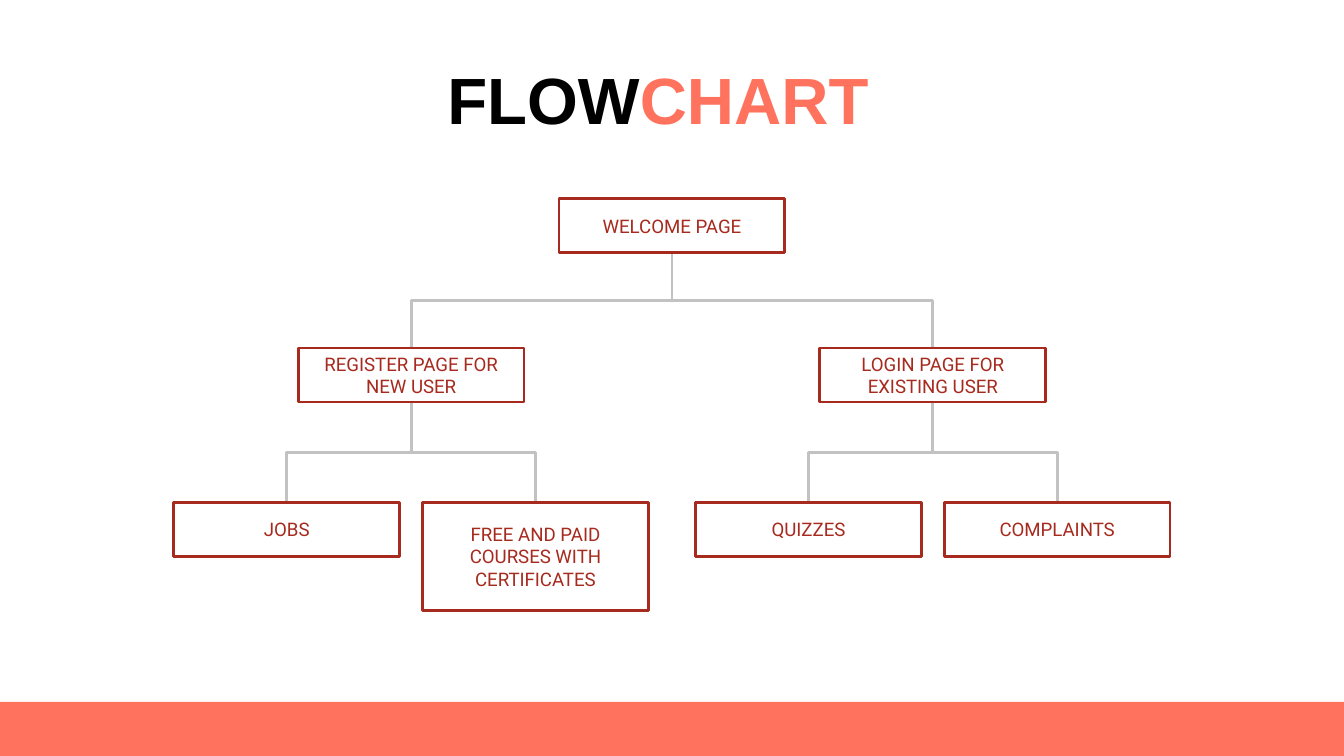
from dataclasses import dataclass

from lxml.etree import SubElement
from pptx import Presentation
from pptx.dml.color import RGBColor
from pptx.enum.shapes import MSO_CONNECTOR, MSO_SHAPE
from pptx.enum.text import MSO_ANCHOR, MSO_AUTO_SIZE, PP_ALIGN
from pptx.oxml.ns import qn
from pptx.shapes.autoshape import Shape
from pptx.slide import Slide
from pptx.text.text import TextFrame, _Paragraph
from pptx.util import Cm, Pt

CORAL = RGBColor(0xFF, 0x72, 0x5E)
BLACK = RGBColor(0x00, 0x00, 0x00)
BRICK = RGBColor(0xA7, 0x2A, 0x1E)
GREY = RGBColor(0xC2, 0xC2, 0xC2)

PAGE_WIDTH, PAGE_HEIGHT = 25.4, 14.29
BAND_HEIGHT = 1.02
BOX_WIDTH, BOX_HEIGHT = 4.27, 1.02
ROOT_TOP, BRANCH_TOP, LEAF_TOP = 3.76, 6.58, 9.5
CENTRE = PAGE_WIDTH / 2
BRANCH_OFFSET, LEAF_OFFSET = 4.93, 2.35
INSET = Cm(0.25)


@dataclass(frozen=True)
class Node:
    label: str
    centre: float
    top: float
    height: float = BOX_HEIGHT
    children: tuple["Node", ...] = ()


def leaf(label: str, centre: float, height: float = BOX_HEIGHT) -> Node:
    return Node(label, centre, LEAF_TOP, height)


REGISTER_CENTRE = CENTRE - BRANCH_OFFSET
LOGIN_CENTRE = CENTRE + BRANCH_OFFSET
WELCOME = Node("WELCOME PAGE", CENTRE, ROOT_TOP, children=(
    Node("REGISTER PAGE FOR NEW USER", REGISTER_CENTRE, BRANCH_TOP, children=(
        leaf("JOBS", REGISTER_CENTRE - LEAF_OFFSET),
        leaf("FREE AND PAID COURSES WITH CERTIFICATES",
             REGISTER_CENTRE + LEAF_OFFSET, 2 * BOX_HEIGHT),
    )),
    Node("LOGIN PAGE FOR EXISTING USER", LOGIN_CENTRE, BRANCH_TOP, children=(
        leaf("QUIZZES", LOGIN_CENTRE - LEAF_OFFSET),
        leaf("COMPLAINTS", LOGIN_CENTRE + LEAF_OFFSET),
    )),
))


def prepare_frame(frame: TextFrame) -> _Paragraph:
    frame.word_wrap = True
    frame.auto_size = MSO_AUTO_SIZE.NONE
    frame.vertical_anchor = MSO_ANCHOR.MIDDLE
    frame.margin_left = frame.margin_right = INSET
    frame.margin_top = frame.margin_bottom = INSET
    para = frame.paragraphs[0]
    para.alignment = PP_ALIGN.CENTER
    return para


def add_span(para: _Paragraph, text: str, font: str, size: float,
             color: RGBColor, bold: bool = False) -> None:
    span = para.add_run()
    span.text = text
    span.font.name = font
    span.font.size = Pt(size)
    span.font.bold = bold
    span.font.color.rgb = color


def add_band(page: Slide) -> None:
    band = page.shapes.add_shape(
        MSO_SHAPE.RECTANGLE, 0, Cm(PAGE_HEIGHT - BAND_HEIGHT),
        Cm(PAGE_WIDTH), Cm(BAND_HEIGHT))
    band.shadow.inherit = False
    band.fill.solid()
    band.fill.fore_color.rgb = CORAL
    band.line.fill.background()


def add_title(page: Slide) -> None:
    title = page.shapes.title
    title.left, title.top = Cm(1.4), Cm(1.24)
    title.width, title.height = Cm(22.07), Cm(1.24)
    para = prepare_frame(title.text_frame)
    para.line_spacing = 1.0
    add_span(para, "FLOW", "Arial", 35, BLACK, True)
    add_span(para, "CHART", "Arial", 35, CORAL, True)


def add_box(page: Slide, node: Node) -> Shape:
    box = page.shapes.add_shape(
        MSO_SHAPE.RECTANGLE, Cm(node.centre - BOX_WIDTH / 2), Cm(node.top),
        Cm(BOX_WIDTH), Cm(node.height))
    box.shadow.inherit = False
    box.fill.background()
    box.line.color.rgb = BRICK
    box.line.width = Pt(1.5)
    add_span(prepare_frame(box.text_frame), node.label, "Roboto", 10, BRICK)
    return box


def add_elbow(page: Slide, parent: Shape, child: Shape) -> None:
    start_x, start_y = parent.left + parent.width // 2, parent.top + parent.height
    end_x, end_y = child.left + child.width // 2, child.top
    elbow = page.shapes.add_connector(
        MSO_CONNECTOR.ELBOW, start_x, start_y, end_x, end_y)
    elbow.begin_connect(parent, 2)
    elbow.end_connect(child, 0)
    drop, spread = end_y - start_y, abs(end_x - start_x)
    elbow.width, elbow.height = drop, spread
    elbow.left = (start_x + end_x - drop) // 2
    elbow.top = (start_y + end_y - spread) // 2
    properties = elbow._element.spPr
    frame = properties.find(qn("a:xfrm"))
    goes_right = end_x > start_x
    frame.set("rot", "16200000" if goes_right else "5400000")
    frame.set("flipH", "1" if goes_right else "0")
    elbow.line.color.rgb = GREY
    elbow.line.width = Pt(1.5)
    SubElement(properties, qn("a:effectLst"))
    page.shapes._spTree.insert(2, elbow._element)


def add_tree(page: Slide, node: Node) -> Shape:
    box = add_box(page, node)
    for child in node.children:
        add_elbow(page, box, add_tree(page, child))
    return box


def main() -> None:
    deck = Presentation()
    deck.slide_width, deck.slide_height = Cm(PAGE_WIDTH), Cm(PAGE_HEIGHT)
    page = deck.slides.add_slide(deck.slide_layouts[5])
    add_band(page)
    add_title(page)
    add_tree(page, WELCOME)
    deck.save("out.pptx")


if __name__ == "__main__":
    main()
